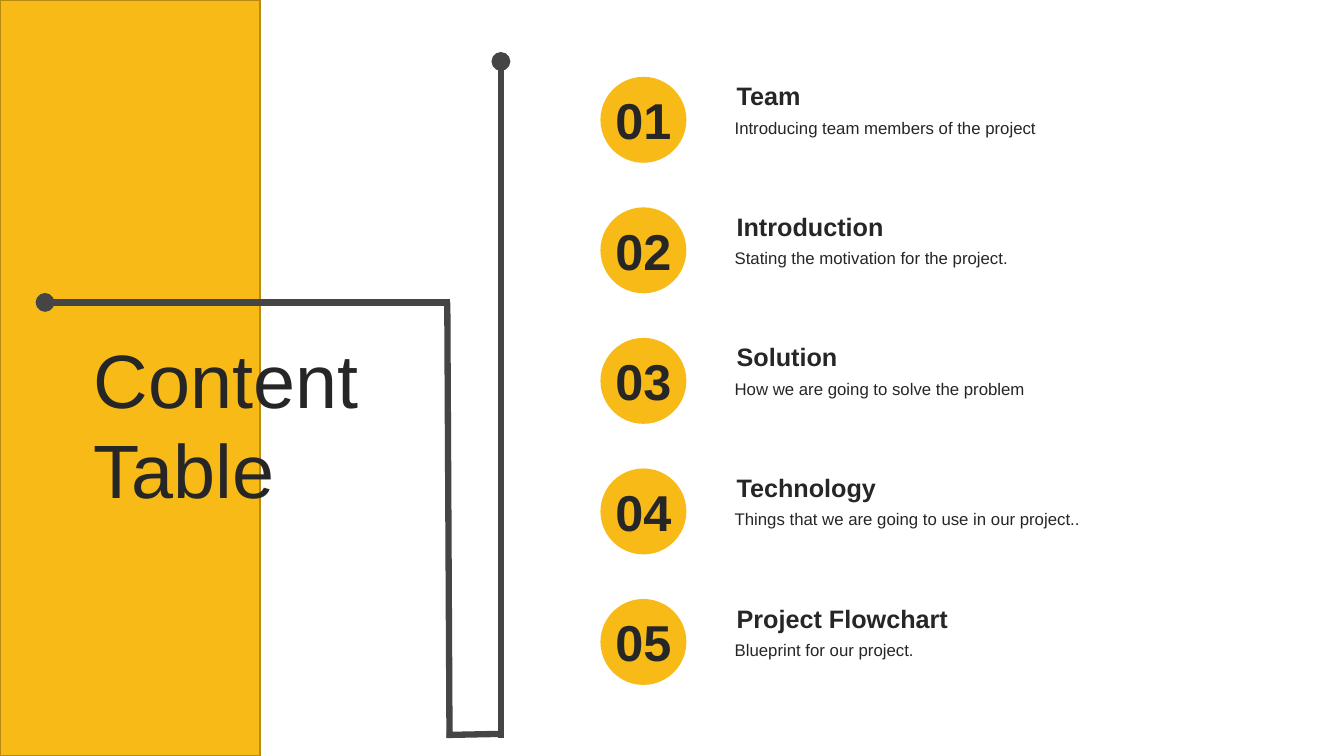
from dataclasses import dataclass

from lxml.etree import SubElement
from pptx import Presentation
from pptx.dml.color import RGBColor
from pptx.enum.shapes import MSO_CONNECTOR, MSO_SHAPE
from pptx.enum.text import MSO_ANCHOR, MSO_AUTO_SIZE, PP_ALIGN
from pptx.oxml.ns import qn
from pptx.util import Pt

COLORS = {"yellow": "F8BA16", "border": "B78A10", "line": "454545", "text": "262626"}
FONT = "Arial"
FIRST_TOP, PITCH = 54.9, 93.24
CIRCLE_LEFT, CIRCLE_SIZE = 428.9, 61.4
TEXT_LEFT, TEXT_WIDTH = 517.7, 355


@dataclass
class Topic:
    heading: str
    detail: str


@dataclass
class Segment:
    start: tuple[float, float]
    end: tuple[float, float]
    dot: str = ""


TOPICS = [
    Topic("Team", "Introducing team members of the project"),
    Topic("Introduction", "Stating the motivation for the project."),
    Topic("Solution", "How we are going to solve the problem"),
    Topic("Technology", "Things that we are going to use in our project.."),
    Topic("Project Flowchart", "Blueprint for our project."),
]

SEGMENTS = [
    Segment((32.2, 216), (321.1, 216), "headEnd"),
    Segment((321.1, 527), (319.5, 216)),
    Segment((357.8, 527), (357.8, 43.9), "tailEnd"),
    Segment((319, 525), (358.6, 524.2)),
]


def color(name: str) -> RGBColor:
    return RGBColor.from_string(COLORS[name])


def write(sp, text: str, size: float, bold: bool = False,
          align: PP_ALIGN = PP_ALIGN.LEFT, inset: float = 7.2) -> None:
    tf = sp.text_frame
    tf.word_wrap = True
    tf.auto_size = MSO_AUTO_SIZE.SHAPE_TO_FIT_TEXT
    tf.margin_left = tf.margin_right = Pt(inset)
    p = tf.paragraphs[0]
    p.alignment = align
    r = p.add_run()
    r.text = text
    r.font.name, r.font.size, r.font.bold = FONT, Pt(size), bold
    r.font.color.rgb = color("text")


def add_filled(shapes, kind: MSO_SHAPE, x: float, y: float, w: float, h: float):
    sp = shapes.add_shape(kind, Pt(x), Pt(y), Pt(w), Pt(h))
    sp.shadow.inherit = False
    sp.fill.solid()
    sp.fill.fore_color.rgb = color("yellow")
    sp.line.fill.background()
    return sp


def add_segment(shapes, seg: Segment) -> None:
    cx = shapes.add_connector(MSO_CONNECTOR.STRAIGHT, *map(Pt, seg.start + seg.end))
    cx.line.width = Pt(4.5)
    cx.line.color.rgb = color("line")
    if seg.dot:
        SubElement(cx.line._get_or_add_ln(), qn("a:" + seg.dot), type="oval")
    SubElement(cx._element.spPr, qn("a:effectLst"))


def add_topic(shapes, number: int, topic: Topic) -> None:
    top = FIRST_TOP + (number - 1) * PITCH
    group = shapes.add_group_shape().shapes

    def box(x: float, dy: float, w: float, h: float):
        return group.add_textbox(Pt(x), Pt(top + dy), Pt(w), Pt(h))

    write(box(TEXT_LEFT, 25.5, TEXT_WIDTH, 21.8), topic.detail, 12)
    write(box(TEXT_LEFT, -0.8, TEXT_WIDTH, 29), topic.heading, 18, True, inset=8.5)
    add_filled(group, MSO_SHAPE.OVAL, CIRCLE_LEFT, top, CIRCLE_SIZE, CIRCLE_SIZE)
    write(box(421.8, 5.4, 75.6, 51), f"{number:02}", 36, True, PP_ALIGN.CENTER, 8.5)


def main() -> None:
    prs = Presentation()
    prs.slide_width, prs.slide_height = Pt(960), Pt(540)
    s = prs.slides.add_slide(prs.slide_layouts[5])

    # Title, in front of the yellow side band
    title = s.shapes.title
    title.left, title.top, title.width, title.height = map(Pt, (59.8, 233.3, 253.4, 138.2))
    write(title, "Content Table", 54)
    title.text_frame.vertical_anchor = MSO_ANCHOR.MIDDLE
    band = add_filled(s.shapes, MSO_SHAPE.RECTANGLE, 0, 0, 185.8, 540)
    band.line.color.rgb = color("border")
    band.line.width = Pt(1)
    title._element.addprevious(band._element)

    # Angular line
    for seg in SEGMENTS:
        add_segment(s.shapes, seg)

    # Numbered topics
    for number, topic in enumerate(TOPICS, 1):
        add_topic(s.shapes, number, topic)

    prs.save("out.pptx")


if __name__ == "__main__":
    main()
